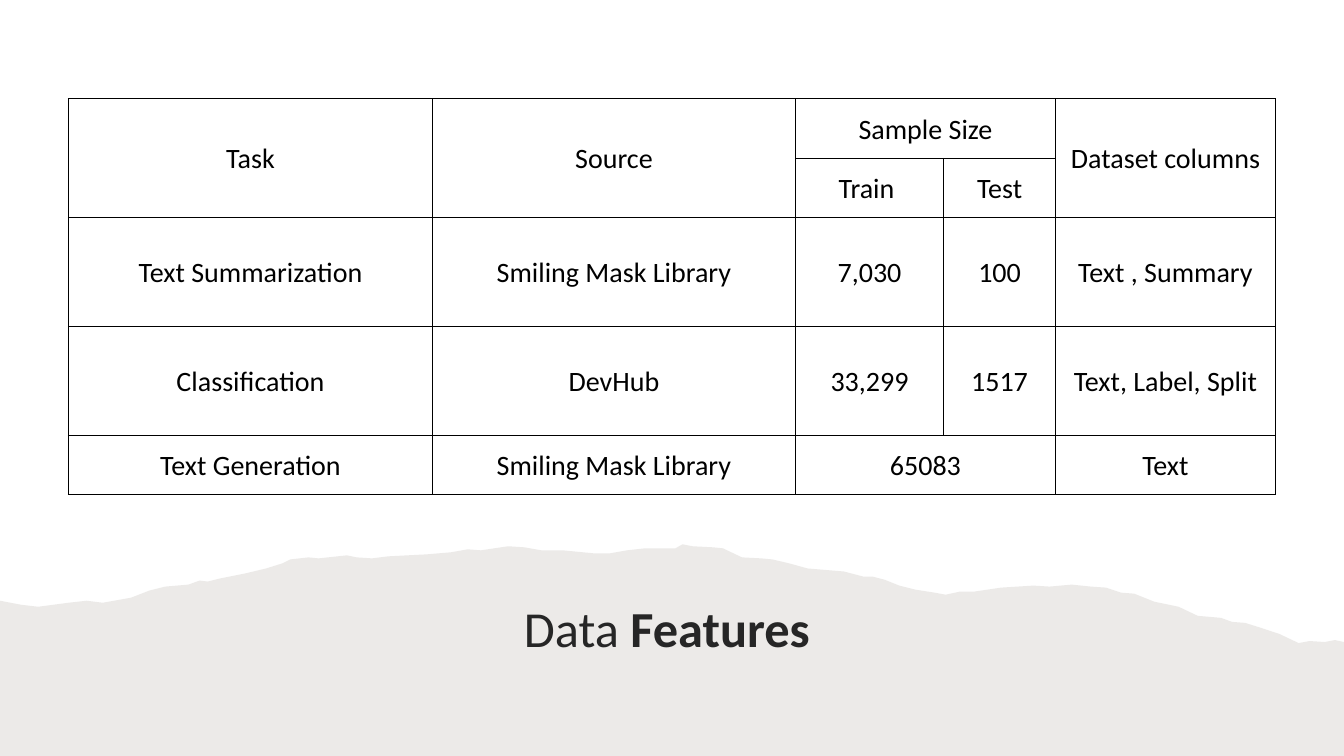
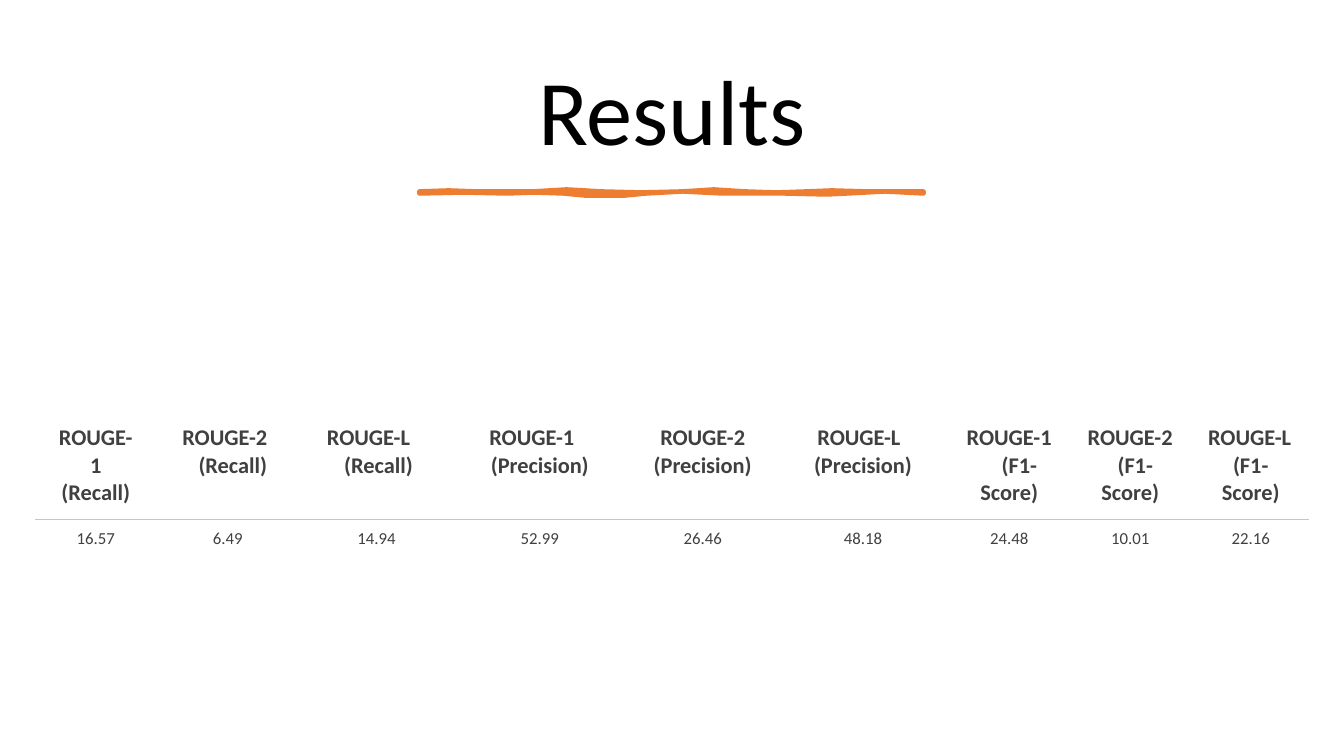
from lxml import etree
from pptx import Presentation
from pptx.dml.color import RGBColor
from pptx.enum.text import MSO_ANCHOR, PP_ALIGN
from pptx.oxml.ns import qn
from pptx.util import Inches, Pt

CENTER = PP_ALIGN.CENTER
TOP, MIDDLE, BOTTOM = MSO_ANCHOR.TOP, MSO_ANCHOR.MIDDLE, MSO_ANCHOR.BOTTOM
FONT = "Calibri"
BLACK, DARK, GREY = "000000", "262626", "404040"
PAPER, ORANGE, RULE = "82766A", "ED7D31", "C7C6C1"


def write_text(paragraph, text, size=20, color=BLACK, bold=False, shift=0):
    """Add a centred run; shift moves the first line right (or the text left)."""
    paragraph.alignment = CENTER
    properties = paragraph._p.get_or_add_pPr()
    properties.set("marR", str(Inches(max(-2 * shift, 0))))
    properties.set("indent", str(Inches(max(2 * shift, 0))))
    run = paragraph.add_run()
    run.text = text
    run.font.name = FONT
    run.font.size = Pt(size)
    run.font.bold = bold
    run.font.color.rgb = RGBColor.from_string(color)


def format_cell(cell, margins, anchor, color, borders):
    """Clear the fill, set the insets and draw borders given as {side: points}."""
    left, top, right, bottom = [Inches(margin) for margin in margins]
    cell.margin_left, cell.margin_top = left, top
    cell.margin_right, cell.margin_bottom = right, bottom
    cell.vertical_anchor = anchor
    cell.fill.background()
    properties = cell._tc.get_or_add_tcPr()
    for position, side in enumerate("LRTB"):
        line = etree.Element(qn(f"a:ln{side}"))
        if side in borders:
            line.set("w", str(Pt(borders[side])))
            fill = etree.SubElement(line, qn("a:solidFill"))
            etree.SubElement(fill, qn("a:srgbClr"), val=color)
        else:
            line.set("w", "0")
            etree.SubElement(line, qn("a:noFill"))
        properties.insert(position, line)


presentation = Presentation()
presentation.slide_width = Inches(13.33)
presentation.slide_height = Inches(7.5)
blank = presentation.slide_layouts[6]
data_slide = presentation.slides.add_slide(blank)
results_slide = presentation.slides.add_slide(blank)

# Outlines: torn paper edge and brush stroke
torn_paper = [
    (0, 5.96), (0.21, 6), (0.38, 6.02), (0.68, 5.98), (0.86, 5.96),
    (1.02, 5.98), (1.3, 5.93), (1.48, 5.86), (1.64, 5.82), (1.87, 5.8),
    (1.98, 5.76), (2.06, 5.77), (2.18, 5.74), (2.43, 5.69), (2.64, 5.64),
    (2.8, 5.59), (2.88, 5.55), (3.06, 5.53), (3.16, 5.54), (3.44, 5.51),
    (3.54, 5.53), (3.69, 5.54), (3.85, 5.52), (4.04, 5.51), (4.23, 5.5),
    (4.47, 5.48), (4.64, 5.45), (4.77, 5.46), (5.04, 5.42), (5.2, 5.43),
    (5.37, 5.46), (5.58, 5.46), (5.89, 5.49), (6.05, 5.49), (6.22, 5.46),
    (6.4, 5.44), (6.7, 5.44), (6.77, 5.4), (6.87, 5.42), (7.07, 5.43),
    (7.17, 5.44), (7.36, 5.53), (7.55, 5.54), (7.66, 5.55), (7.83, 5.59),
    (8.01, 5.64), (8.25, 5.66), (8.37, 5.67), (8.56, 5.72), (8.65, 5.72),
    (8.77, 5.75), (8.92, 5.81), (9.08, 5.85), (9.27, 5.88), (9.38, 5.9),
    (9.52, 5.87), (9.66, 5.87), (9.93, 5.83), (10.25, 5.81), (10.41, 5.82),
    (10.63, 5.8), (10.82, 5.82), (10.97, 5.83), (11.12, 5.88), (11.25, 5.89),
    (11.45, 5.97), (11.69, 6.02), (11.88, 6.11), (12.11, 6.13), (12.22, 6.17),
    (12.35, 6.18), (12.51, 6.23), (12.69, 6.29), (12.88, 6.38), (12.99, 6.36),
    (13.14, 6.37), (13.24, 6.35), (13.33, 6.37), (13.33, 7.5), (0, 7.5),
]
brush_stroke = [
    (4.16, 1.9), (4.45, 1.89), (4.73, 1.9), (5.29, 1.9), (5.45, 1.89),
    (5.62, 1.88), (5.8, 1.89), (5.96, 1.9), (6.36, 1.91), (6.77, 1.9),
    (7.08, 1.88), (7.39, 1.9), (7.7, 1.91), (8, 1.9), (8.25, 1.89),
    (8.6, 1.9), (9.16, 1.9), (9.16, 1.92), (8.78, 1.9), (8.4, 1.92),
    (8.2, 1.93), (7.79, 1.92), (7.17, 1.92), (6.77, 1.9), (6.41, 1.92),
    (6.2, 1.94), (5.8, 1.94), (5.59, 1.92), (5.3, 1.91), (5.03, 1.92),
    (4.6, 1.91), (4.16, 1.92),
]
for slide, outline, color, line_width, opacity in [
    (data_slide, torn_paper, PAPER, 0, 15),
    (results_slide, brush_stroke, ORANGE, 3.25, 100),
]:
    points = [(Inches(x), Inches(y)) for x, y in outline]
    builder = slide.shapes.build_freeform(*points[0])
    builder.add_line_segments(points[1:], close=True)
    shape = builder.convert_to_shape()
    shape.shadow.inherit = False
    shape.fill.solid()
    shape.fill.fore_color.rgb = RGBColor.from_string(color)
    if opacity < 100:
        fill_color = shape._element.spPr.find(".//" + qn("a:srgbClr"))
        etree.SubElement(fill_color, qn("a:alpha"), val=str(opacity * 1000))
    if line_width:
        shape.line.width = Pt(line_width)
        shape.line.color.rgb = RGBColor.from_string(color)
    else:
        shape.line.fill.background()

# Titles
for slide, box, anchor, size, color, runs in [
    (data_slide, (1.32, 5.77, 10.59, 0.81), BOTTOM, 36, DARK,
     [("Data ", False), ("Features", True)]),
    (results_slide, (0.7, 0.46, 11.93, 1.37), MIDDLE, 66, BLACK,
     [("Results", False)]),
]:
    title = slide.shapes.add_textbox(*[Inches(length) for length in box])
    frame = title.text_frame
    frame.word_wrap = True
    frame.vertical_anchor = anchor
    paragraph = frame.paragraphs[0]
    paragraph.line_spacing = 0.9
    for text, bold in runs:
        write_text(paragraph, text, size=size, color=color, bold=bold)

# Tables: each cell is a list of (line, shift) paragraphs
dataset_rows = [
    ["Task", "Source", "Sample Size", "", "Dataset columns"],
    ["", "", "Train", "Test", ""],
    ["Text Summarization", "Smiling Mask Library", "7,030", "100", "Text , Summary"],
    ["Classification", "DevHub", "33,299", "1517", "Text, Label, Split"],
    ["Text Generation", "Smiling Mask Library", "65083", "", "Text"],
]
dataset_cells = [
    [[(text, -0.03 if text == "Train" else 0)] if text else [] for text in row]
    for row in dataset_rows
]
score_cells = [
    [
        [("ROUGE-1 (Recall)", 0)],
        [("ROUGE-2", -0.03), ("(Recall)", 0.05)],
        [("ROUGE-L", -0.08), ("(Recall)", 0.02)],
        [("ROUGE-1", -0.08), ("(Precision)", 0)],
        [("ROUGE-2", 0), ("(Precision)", 0)],
        [("ROUGE-L", -0.04), ("(Precision)", 0)],
        [("ROUGE-1", 0), ("(F1-Score)", 0.1)],
        [("ROUGE-2", 0), ("(F1-Score)", 0.05)],
        [("ROUGE-L", -0.01), ("(F1-Score)", 0)],
    ],
    [[(score, 0)] for score in ("16.57", "6.49", "14.94", "52.99", "26.46",
                                "48.18", "24.48", "10.01", "22.16")],
]
dataset_merges = [(0, 0, 1, 0), (0, 1, 1, 1), (0, 2, 0, 3), (0, 4, 1, 4), (4, 2, 4, 3)]

for slide, cells, left, top, widths, heights, merges in [
    (data_slide, dataset_cells, 0.68, 0.98, [3.61, 3.6, 1.47, 1.11, 2.18],
     [0.59, 0.59, 1.08, 1.08, 0.59], dataset_merges),
    (results_slide, score_cells, 0.35, 4.12,
     [1.16, 1.46, 1.49, 1.75, 1.48, 1.7, 1.2, 1.2, 1.19], [1.03, 0.41], []),
]:
    last_row, last_column = len(heights) - 1, len(widths) - 1
    table = slide.shapes.add_table(
        len(heights), len(widths), Inches(left), Inches(top),
        Inches(sum(widths)), Inches(sum(heights))).table
    table.first_row = table.horz_banding = False
    for column, width in zip(table.columns, widths):
        column.width = Inches(width)
    for row, height in zip(table.rows, heights):
        row.height = Inches(height)
    for first_row, first_column, end_row, end_column in merges:
        table.cell(first_row, first_column).merge(table.cell(end_row, end_column))

    for row_index, row_cells in enumerate(cells):
        for column_index, lines in enumerate(row_cells):
            cell = table.cell(row_index, column_index)
            if slide is data_slide:
                borders = {"L": 0.5 if column_index else 1,
                           "R": 0.5 if column_index < last_column else 1,
                           "T": 0.5 if row_index else 1,
                           "B": 0.5 if row_index < last_row else 1}
                format_cell(cell, (0.02, 0.02, 0.02, 0), MIDDLE, BLACK, borders)
                style = {"size": 20, "color": BLACK}
            else:
                borders = {"T": 0.75} if row_index else {"B": 0.75}
                format_cell(cell, (0.18, 0.09, 0.14, 0.09), TOP, RULE, borders)
                style = {"size": 12 if row_index else 16, "color": GREY,
                         "bold": row_index == 0}
            frame = cell.text_frame
            for line_index, (text, shift) in enumerate(lines):
                paragraph = frame.add_paragraph() if line_index else frame.paragraphs[0]
                write_text(paragraph, text, shift=shift, **style)

presentation.save("out.pptx")
